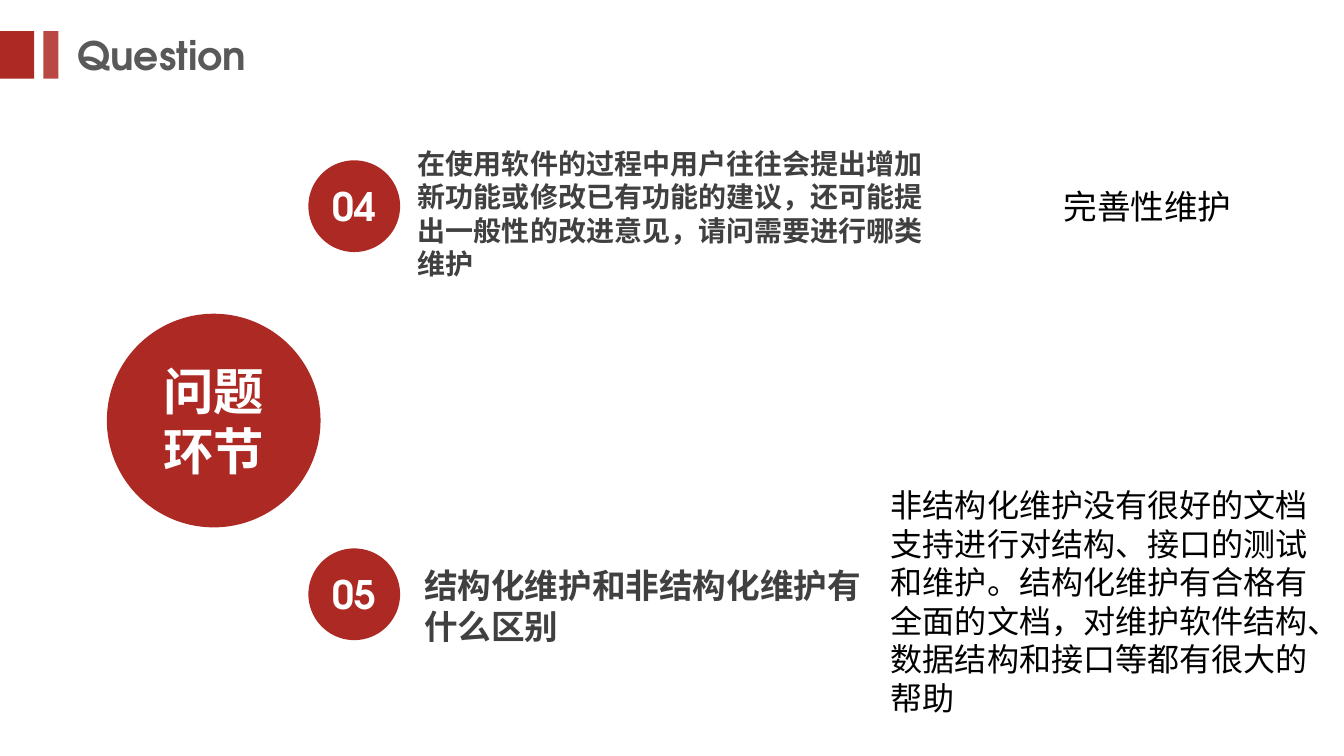
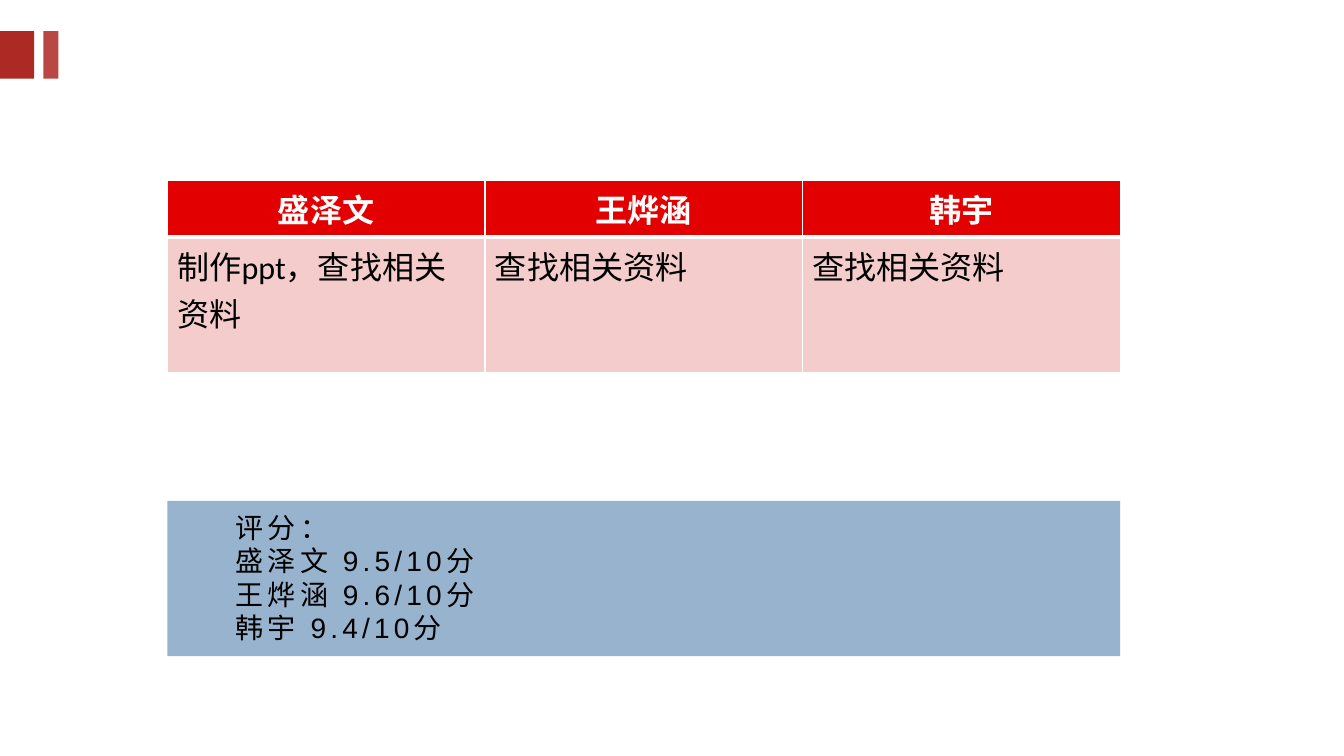
import typing

import lxml.etree
import pptx
import pptx.dml.color
import pptx.enum.shapes
import pptx.enum.text
import pptx.oxml
import pptx.oxml.ns
import pptx.util

RED, WHITE, BLACK = "AD2924", "FFFFFF", "000000"
TITLE_GREY, QUESTION_GREY = "595959", "404040"
HEADER_RED, CELL_PINK, SCORE_BLUE = "E20000", "F4CCCC", "97B3CD"
DISPLAY_FONT, BODY_FONT, SCORE_FONT = "TeX Gyre Adventor", "Calibri", "Arial"
BODY_SIZE = 22.9

ALIGN = pptx.enum.text.PP_ALIGN
ANCHOR = pptx.enum.text.MSO_ANCHOR
SHAPE = pptx.enum.shapes.MSO_SHAPE
qualified = pptx.oxml.ns.qn


class Box(typing.NamedTuple):
    """A region in inches."""
    left: float
    top: float
    width: float
    height: float

    def inner(self, left, top, width, height):
        """Return an inner box given in percent of this one."""
        return Box(self.left + self.width * left / 100,
                   self.top + self.height * top / 100,
                   self.width * width / 100,
                   self.height * height / 100)

    def lengths(self):
        return [pptx.util.Inches(value) for value in self]


PAGE = Box(0, 0, 13.33, 7.5)


def color(value):
    return pptx.dml.color.RGBColor.from_string(value)


def write(frame, text, font=DISPLAY_FONT, size=20, fill=BLACK, bold=False,
          align=ALIGN.LEFT, anchor=ANCHOR.TOP, spacing=0):
    """Fill a text frame, one paragraph for each line of text."""
    frame.word_wrap = True
    frame.vertical_anchor = anchor
    for index, line in enumerate(text.split("\n")):
        paragraph = frame.paragraphs[0] if index == 0 else frame.add_paragraph()
        paragraph.alignment = align
        run = paragraph.add_run()
        run.text = line
        run.font.name = font
        run.font.size = pptx.util.Pt(size)
        run.font.bold = bold
        run.font.color.rgb = color(fill)
        if spacing:
            run._r.get_or_add_rPr().set("spc", str(spacing * 100))


def add_text(slide, box, text, **text_format):
    write(slide.shapes.add_textbox(*box.lengths()).text_frame, text, **text_format)


def add_filled(slide, kind, box, fill, opacity=100):
    shape = slide.shapes.add_shape(kind, *box.lengths())
    shape.shadow.inherit = False
    shape.line.fill.background()
    shape.fill.solid()
    shape.fill.fore_color.rgb = color(fill)
    if opacity < 100:
        fill_color = shape._element.spPr.find(".//" + qualified("a:srgbClr"))
        alpha = lxml.etree.SubElement(fill_color, qualified("a:alpha"))
        alpha.set("val", str(opacity * 1000))
    return shape


def add_disc(slide, box, text, size, margin):
    disc = add_filled(slide, SHAPE.OVAL, box, RED)
    frame = disc.text_frame
    frame.margin_left = frame.margin_right = pptx.util.Inches(margin)
    write(frame, text, size=size, fill=WHITE, bold=True,
          align=ALIGN.CENTER, anchor=ANCHOR.MIDDLE)


def place(placeholder, box):
    (placeholder.left, placeholder.top,
     placeholder.width, placeholder.height) = box.lengths()


def add_heading(slide, box, text=""):
    """Draw the red bars in the box and the title to their right."""
    add_filled(slide, SHAPE.RECTANGLE, box.inner(0, 0, 58.6, 100), RED)
    add_filled(slide, SHAPE.RECTANGLE, box.inner(74.1, 0, 25.9, 100), RED, opacity=85)
    title = slide.shapes.title
    if not text:
        title._element.getparent().remove(title._element)
        return
    place(title, box.inner(115.5, -10, 700, 120))
    write(title.text_frame, text, size=28, fill=TITLE_GREY, bold=True,
          anchor=ANCHOR.MIDDLE)


def add_question(slide, box, number, question, question_area, question_size,
                 answer, answer_area, answer_size):
    add_disc(slide, box.inner(0, 27.7, 8.85, 37.6), number, 28, 0)
    add_text(slide, box.inner(*question_area), question,
             size=question_size, fill=QUESTION_GREY, bold=True)
    add_text(slide, box.inner(*answer_area), answer,
             font=BODY_FONT, size=answer_size)


def set_borders(cell, **widths):
    """Draw white borders; widths are points by side, in schema order."""
    properties = cell._tc.get_or_add_tcPr()
    for side, width in widths.items():
        line = lxml.etree.SubElement(properties, qualified("a:ln" + side))
        line.set("w", str(pptx.util.Pt(width)))
        solid = lxml.etree.SubElement(line, qualified("a:solidFill"))
        lxml.etree.SubElement(solid, qualified("a:srgbClr")).set("val", WHITE)


def add_work_table(slide, box, rows, row_shares):
    table = slide.shapes.add_table(len(rows), len(rows[0]), *box.lengths()).table
    table.horz_banding = False
    for row_index, (texts, share) in enumerate(zip(rows, row_shares)):
        table.rows[row_index].height = pptx.util.Inches(box.height * share / 100)
        header = row_index == 0
        for column_index, text in enumerate(texts):
            cell = table.cell(row_index, column_index)
            set_borders(cell, L=1, R=1, T=1 if header else 3, B=3 if header else 1)
            cell.fill.solid()
            cell.fill.fore_color.rgb = color(HEADER_RED if header else CELL_PINK)
            write(cell.text_frame, text, font=BODY_FONT, size=BODY_SIZE, bold=header,
                  fill=WHITE if header else BLACK,
                  align=ALIGN.CENTER if header else ALIGN.LEFT)


def add_scores(slide, box, text):
    panel = add_filled(slide, SHAPE.RECTANGLE, box, SCORE_BLUE)
    body = slide.placeholders[1]
    panel._element.addnext(body._element)
    place(body, box.inner(6.1, 2.6, 70.6, 94.2))
    body.text_frame.auto_size = pptx.enum.text.MSO_AUTO_SIZE.NONE
    write(body.text_frame, text, font=SCORE_FONT, spacing=3)
    for paragraph in body.text_frame.paragraphs:
        paragraph.space_before = pptx.util.Pt(0)
        properties = paragraph._p.get_or_add_pPr()
        properties.set("marL", "0")
        properties.set("indent", "0")
        lxml.etree.SubElement(properties, qualified("a:buNone"))


def build_question_slide(presentation, heading_box):
    slide = presentation.slides.add_slide(presentation.slide_layouts[5])
    add_heading(slide, heading_box, "Question")
    add_disc(slide, PAGE.inner(7.95, 41.5, 15.9, 28.26), "问题环节", 36, 0.1)
    questions = [
        ("04", "在使用软件的过程中用户往往会提出增加新功能或修改已有功能的建议，"
               "还可能提出一般性的改进意见，请问需要进行哪类维护",
         (9.6, 19.8, 51.8, 59.9), 20,
         "完善性维护", (71.9, 36, 20, 20.7), 24),
        ("05", "结构化维护和非结构化维护有什么区别",
         (10.2, 32.6, 44.9, 37.6), 24,
         "非结构化维护没有很好的文档支持进行对结构、接口的测试和维护。"
         "结构化维护有合格有全面的文档，对维护软件结构、"
         "数据结构和接口等都有很大的帮助",
         (55.25, 0, 44.75, 100), BODY_SIZE),
    ]
    for index, question in enumerate(questions):
        row = PAGE.inner(22.95, 12.27 + 51.33 * index, 77.1, 32.27)
        add_question(slide, row, *question)


def build_work_slide(presentation, heading_box):
    slide = presentation.slides.add_slide(presentation.slide_layouts[1])
    add_heading(slide, heading_box)
    add_scores(slide, PAGE.inner(12.45, 66.27, 70.9, 20.53),
               "评分：\n盛泽文 9.5/10分\n王烨涵 9.6/10分\n韩宇 9.4/10分")
    add_work_table(slide, PAGE.inner(12.45, 23.87, 70.9, 25.2),
                   [("盛泽文", "王烨涵", "韩宇"),
                    ("制作ppt，查找相关资料", "查找相关资料", "查找相关资料")],
                   (29, 71))


def main():
    presentation = pptx.Presentation()
    presentation.slide_width = pptx.util.Inches(PAGE.width)
    presentation.slide_height = pptx.util.Inches(PAGE.height)
    heading_box = PAGE.inner(0, 4.13, 4.35, 6.27)
    build_question_slide(presentation, heading_box)
    build_work_slide(presentation, heading_box)
    presentation.save("out.pptx")


if __name__ == "__main__":
    main()
